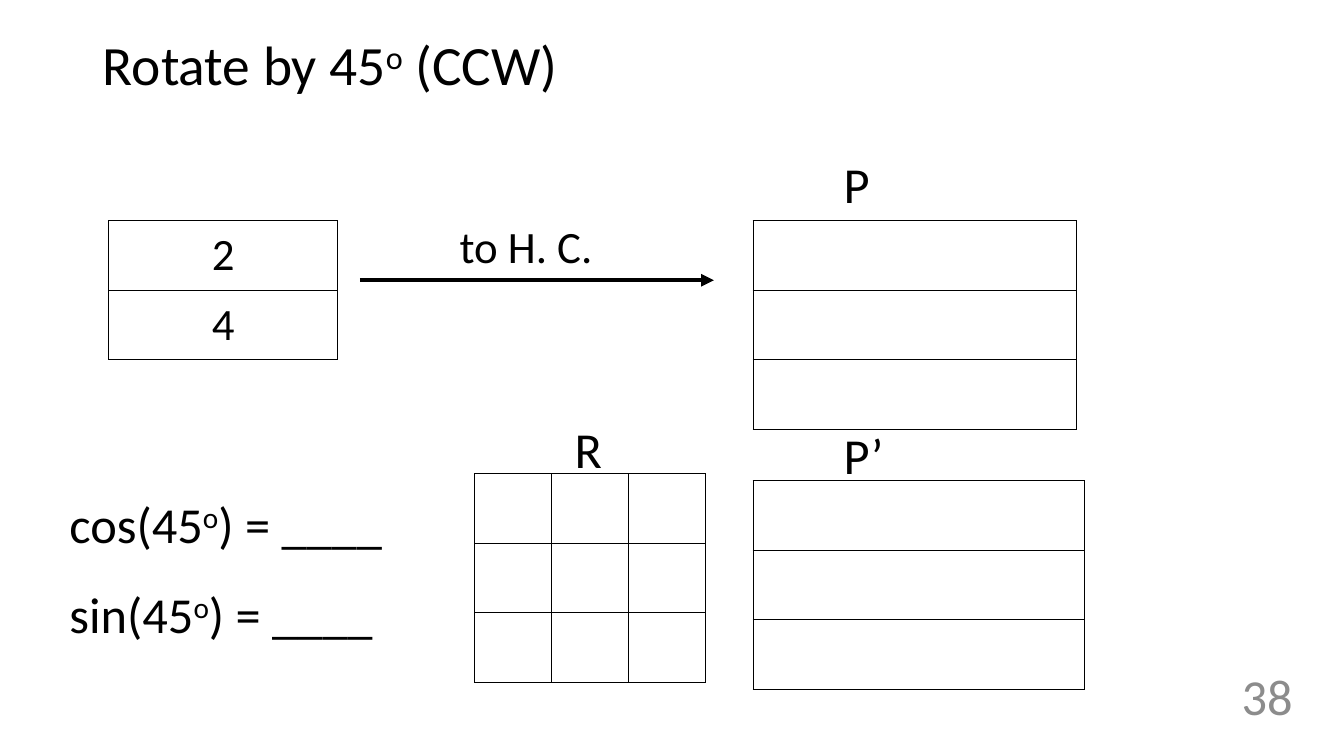
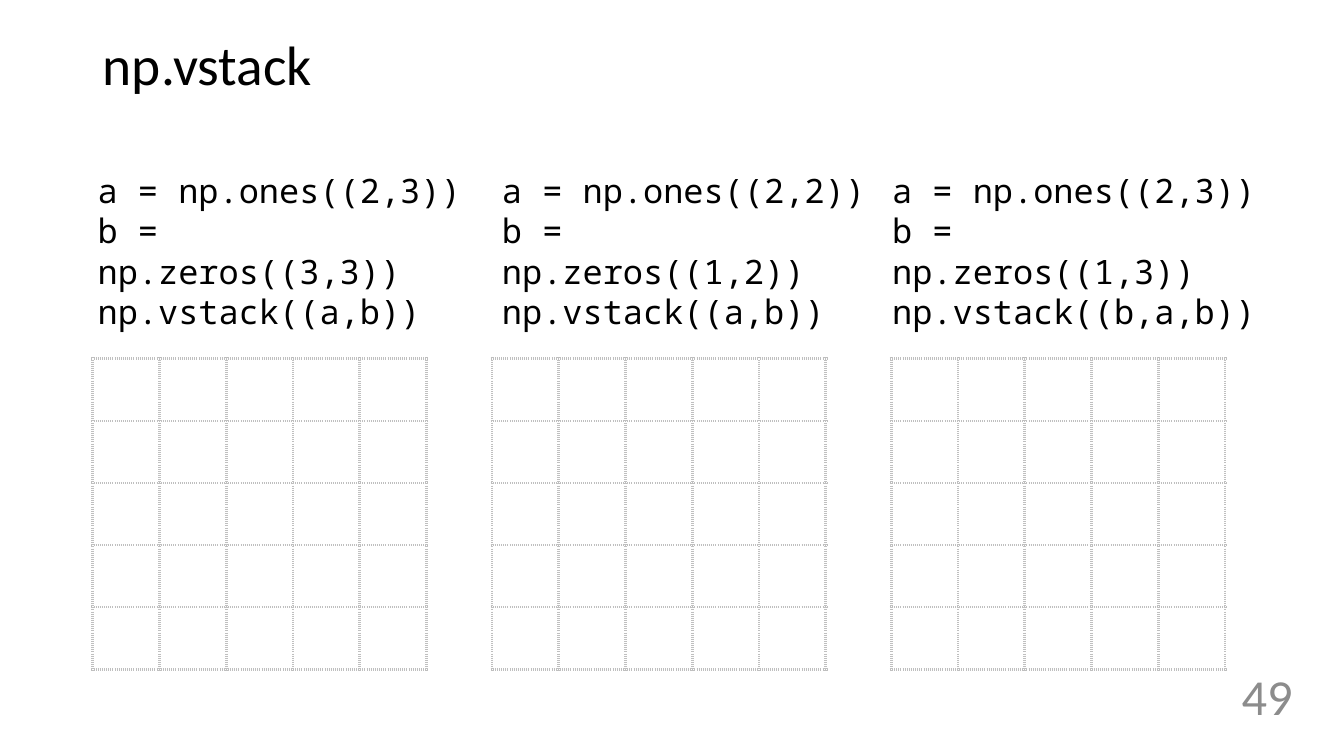
from dataclasses import dataclass

from lxml.etree import SubElement
from pptx import Presentation
from pptx.dml.color import RGBColor
from pptx.enum.shapes import MSO_CONNECTOR
from pptx.enum.text import MSO_ANCHOR, PP_ALIGN
from pptx.oxml.ns import qn
from pptx.util import Inches, Pt


@dataclass(frozen=True)
class Theme:
    ink: str = "000000"
    muted: str = "8C8C8C"
    grid: str = "BFBFBF"
    font: str = "Calibri"
    code_font: str = "Noto Sans Mono"
    title_size: float = 39.6
    large_size: float = 36
    medium_size: float = 32
    code_size: float = 24
    code_leading: float = 29


THEME = Theme()


def write(frame, text, size=THEME.large_size, color=THEME.ink, font=THEME.font,
          align=PP_ALIGN.LEFT, anchor=MSO_ANCHOR.TOP, spacing=1.0):
    """Fill a text frame, one paragraph per line; text between ^ marks is superscript."""
    frame.word_wrap = True
    frame.vertical_anchor = anchor
    for index, line in enumerate(text.split("\n")):
        para = frame.paragraphs[0] if index == 0 else frame.add_paragraph()
        para.alignment = align
        para.line_spacing = spacing
        for position, part in enumerate(line.split("^")):
            span = para.add_run()
            span.text = part
            span.font.size = Pt(size)
            span.font.name = font
            span.font.color.rgb = RGBColor.from_string(color)
            if position % 2:
                span.font._element.set("baseline", "30000")


def set_borders(cell, color, width, dash):
    properties = cell._tc.get_or_add_tcPr()
    for side in ("a:lnL", "a:lnR", "a:lnT", "a:lnB"):
        line = SubElement(properties, qn(side), w=str(Pt(width)))
        fill = SubElement(line, qn("a:solidFill"))
        SubElement(fill, qn("a:srgbClr"), val=color)
        SubElement(line, qn("a:prstDash"), val=dash)


class SlideBuilder:
    def __init__(self, theme):
        self.theme = theme
        self.deck = Presentation()
        self.deck.slide_width = Inches(13.33)
        self.deck.slide_height = Inches(7.5)
        self.page = None

    def add_page(self, title, number):
        self.page = self.deck.slides.add_slide(self.deck.slide_layouts[5])
        box = self.page.shapes.title
        box.left, box.top = Inches(0.92), Inches(0.4)
        box.width, box.height = Inches(11.5), Inches(0.55)
        write(box.text_frame, title, size=self.theme.title_size,
              anchor=MSO_ANCHOR.MIDDLE, spacing=0.9)
        self.text(str(number), 11.67, 6.47, 1.25, 0.86, color=self.theme.muted,
                  align=PP_ALIGN.RIGHT, anchor=MSO_ANCHOR.MIDDLE)

    def text(self, text, left, top, width, height, **style):
        box = self.page.shapes.add_textbox(
            Inches(left), Inches(top), Inches(width), Inches(height))
        write(box.text_frame, text, **style)

    def code(self, text, left, top, width, height):
        self.text(text, left, top, width, height, size=self.theme.code_size,
                  font=self.theme.code_font, spacing=Pt(self.theme.code_leading))

    def table(self, rows, columns, left, top, width, height, values=(),
              color=THEME.ink, line_width=1, dash="solid"):
        """Draw an unfilled grid; values fill its cells in reading order."""
        table = self.page.shapes.add_table(
            rows, columns, Inches(left), Inches(top), Inches(width), Inches(height)).table
        table.first_row = False
        table.horz_banding = False
        for cell in table.iter_cells():
            set_borders(cell, color, line_width, dash)
            cell.fill.background()
        for cell, value in zip(table.iter_cells(), values):
            cell.vertical_anchor = MSO_ANCHOR.MIDDLE
            write(cell.text_frame, value, size=self.theme.medium_size,
                  align=PP_ALIGN.CENTER, anchor=MSO_ANCHOR.MIDDLE)

    def arrow(self, left, right, y):
        arrow = self.page.shapes.add_connector(
            MSO_CONNECTOR.STRAIGHT, Inches(left), Inches(y), Inches(right), Inches(y))
        arrow.line.color.rgb = RGBColor.from_string(self.theme.ink)
        arrow.line.width = Pt(3)
        SubElement(arrow.line._get_or_add_ln(), qn("a:tailEnd"), type="triangle")
        SubElement(arrow._element.spPr, qn("a:effectLst"))


def build_rotation(builder):
    builder.add_page("Rotate by 45^o^ (CCW)", 38)
    row = 0.69
    builder.table(3, 1, 7.47, 4.77, 3.29, 3 * row)
    builder.table(3, 1, 7.47, 2.19, 3.21, 3 * row)
    builder.table(3, 3, 4.71, 4.7, 2.29, 3 * row)
    builder.table(2, 1, 1.08, 2.19, 2.27, 2 * row, values=("2", "4"))
    builder.arrow(3.57, 7.08, 2.78)
    builder.text("to H. C.", 4.46, 2.12, 1.8, 0.64, size=builder.theme.medium_size)
    for label, left, top in (("P", 8.27, 1.47), ("P’", 8.27, 4.16), ("R", 5.6, 4.1)):
        builder.text(label, left, top, 0.8, 0.71)
    builder.text("cos(45^o^) = ____\nsin(45^o^) = ____", 0.59, 4.54, 3.8, 1.82, spacing=1.5)


def build_vstack(builder):
    builder.add_page("np.vstack", 49)
    examples = (
        (0.87, "(2,3)", "(3,3)", "a,b"),
        (4.88, "(2,2)", "(1,2)", "a,b"),
        (8.75, "(2,3)", "(1,3)", "b,a,b"),
    )
    for index, (left, ones, zeros, stack) in enumerate(examples):
        builder.code(f"a = np.ones({ones})\nb = np.zeros({zeros})\nnp.vstack(({stack}))",
                     left, 1.63, 3.93, 1.31)
        builder.table(5, 5, 0.92 + 3.96 * index, 3.56, 3.31, 3.08,
                      color=builder.theme.grid, line_width=2.25, dash="sysDot")


def main():
    builder = SlideBuilder(THEME)
    build_rotation(builder)
    build_vstack(builder)
    builder.deck.save("out.pptx")


if __name__ == "__main__":
    main()
